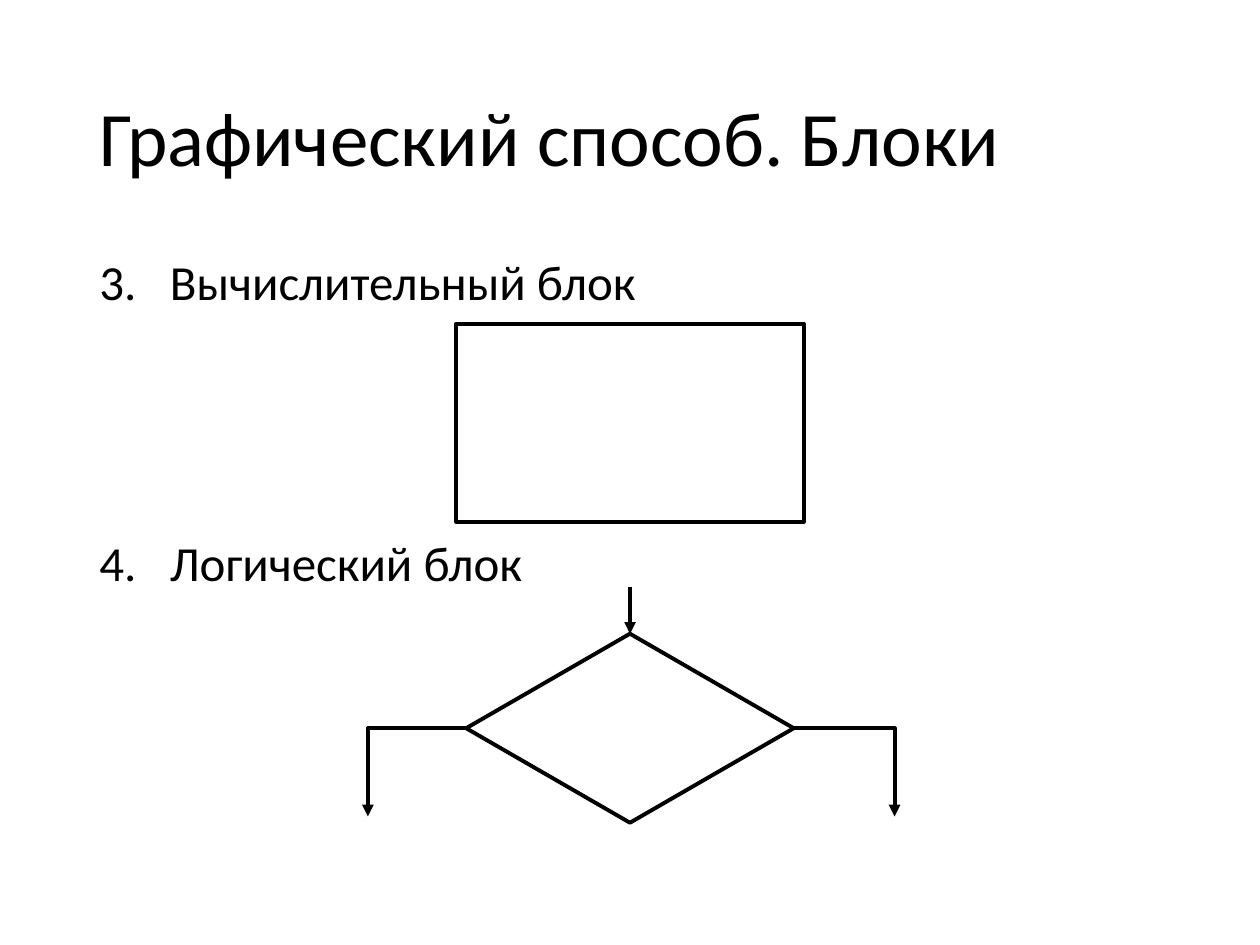
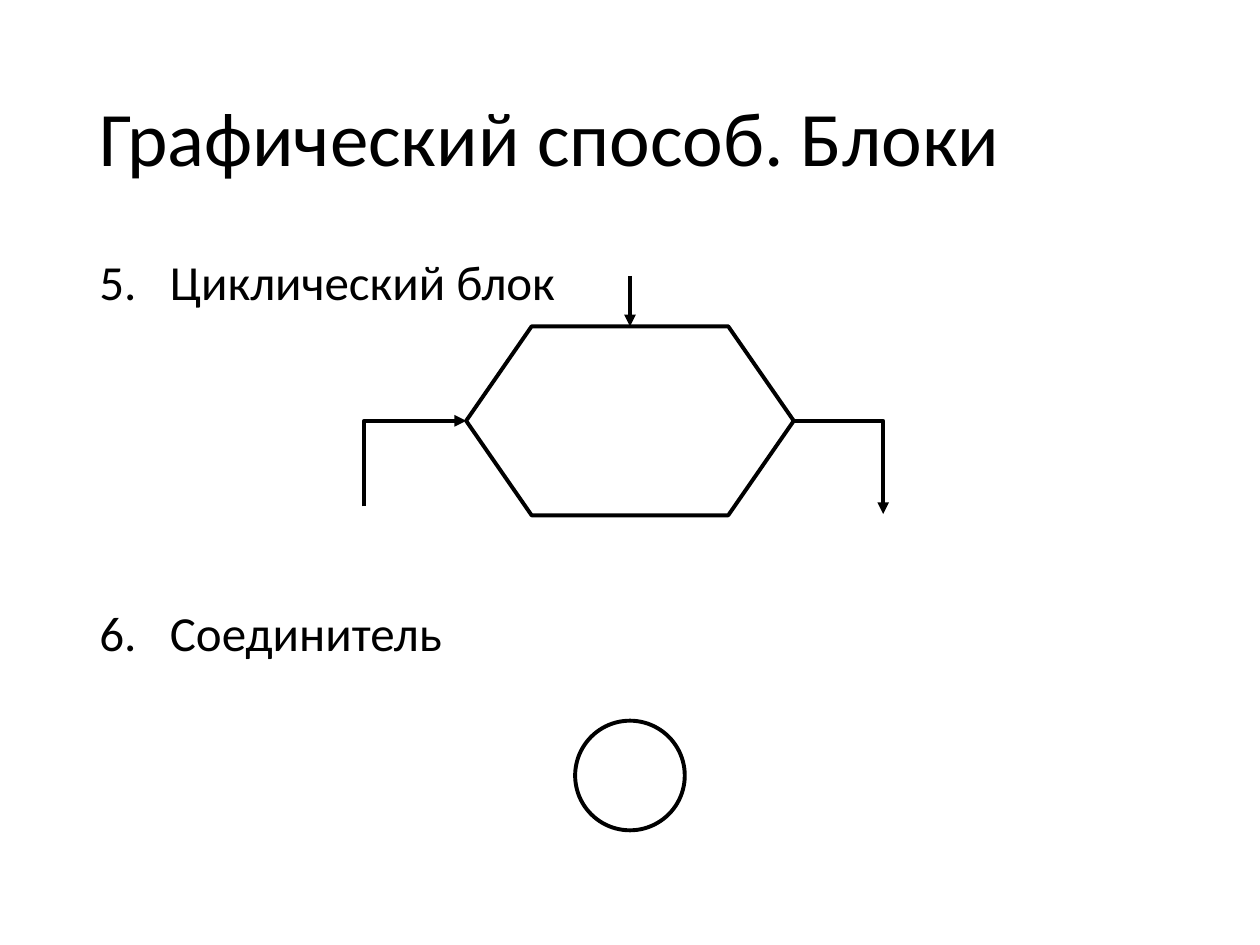
from lxml.etree import SubElement
from pptx import Presentation
from pptx.dml.color import RGBColor
from pptx.enum.shapes import MSO_CONNECTOR as Link, MSO_SHAPE as Shape
from pptx.enum.text import MSO_ANCHOR as Anchor
from pptx.oxml.ns import qn
from pptx.util import Inches, Pt

TITLE = "Графический способ. Блоки"
FONT = "Calibri"
INK, PAPER = "000000", "FFFFFF"
LINE_WIDTH = 2.25
MIDDLE = 5
TEXT_LEFT, TEXT_WIDTH = 0.69, 8.62
NUMBER_INDENT = 0.56

PAGES = [
    {
        "first_number": 3,
        "items": [("Вычислительный блок", 10), ("Логический блок", 130.5)],
        "blocks": [
            (Shape.FLOWCHART_PROCESS, 2.57, 2.76, 1.57),
            (Shape.FLOWCHART_DECISION, 5.03, 2.6, 1.5),
        ],
        "arrows": [((MIDDLE, 4.66), (MIDDLE, 5.03))],
        "elbows": [
            ((6.3, 5.78), (7.1, 6.48), 1),
            ((3.7, 5.78), (2.92, 6.48), 1),
        ],
    },
    {
        "first_number": 5,
        "items": [("Циклический блок", 10), ("Соединитель", 170.5)],
        "blocks": [
            (Shape.FLOWCHART_PREPARATION, 2.59, 2.6, 1.5),
            (Shape.FLOWCHART_CONNECTOR, 5.72, 0.87, 0.87),
        ],
        "arrows": [((MIDDLE, 2.19), (MIDDLE, 2.59))],
        "elbows": [
            ((6.3, 3.34), (7.01, 4.08), 1),
            ((2.89, 4.02), (3.7, 3.34), 0),
        ],
    },
]


def color(value):
    return RGBColor.from_string(value)


def add_box(page, top, height, anchor):
    box = page.shapes.add_textbox(
        Inches(TEXT_LEFT), Inches(top), Inches(TEXT_WIDTH), Inches(height))
    frame = box.text_frame
    frame.word_wrap = True
    frame.vertical_anchor = anchor
    return frame


def write(para, text, size):
    para.line_spacing = 0.9
    span = para.add_run()
    span.text = text
    span.font.name = FONT
    span.font.size = Pt(size)
    span.font.color.rgb = color(INK)


def number(para, start):
    props = para._p.get_or_add_pPr()
    props.set("marL", str(Inches(NUMBER_INDENT)))
    props.set("indent", str(-Inches(NUMBER_INDENT)))
    SubElement(props, qn("a:buFont"), typeface="+mj-lt")
    SubElement(props, qn("a:buAutoNum"), type="arabicPeriod", startAt=str(start))


def add_list(page, items, start):
    frame = add_box(page, 2, 4.76, Anchor.TOP)
    for index, (text, gap) in enumerate(items):
        para = frame.add_paragraph() if index else frame.paragraphs[0]
        write(para, text, 28)
        para.space_before = Pt(gap)
        number(para, start)


def style_line(line):
    line.color.rgb = color(INK)
    line.width = Pt(LINE_WIDTH)


def add_block(page, kind, top, width, height):
    block = page.shapes.add_shape(
        kind, Inches(MIDDLE - width / 2), Inches(top), Inches(width), Inches(height))
    block.shadow.inherit = False
    block.fill.solid()
    block.fill.fore_color.rgb = color(PAPER)
    style_line(block.line)


def add_arrow(page, start, end, bend=None):
    kind = Link.STRAIGHT if bend is None else Link.ELBOW
    arrow = page.shapes.add_connector(kind, *map(Inches, start + end))
    style_line(arrow.line)
    props = arrow._element.spPr
    SubElement(props.find(qn("a:ln")), qn("a:tailEnd"), type="triangle")
    SubElement(props, qn("a:effectLst"))
    if bend is not None:
        guides = props.find(qn("a:prstGeom")).get_or_add_avLst()
        SubElement(guides, qn("a:gd"), name="adj1", fmla=f"val {bend * 100000}")


def add_page(deck, content):
    page = deck.slides.add_slide(deck.slide_layouts[6])
    title = add_box(page, 0.4, 1.45, Anchor.MIDDLE)
    write(title.paragraphs[0], TITLE, 44)
    add_list(page, content["items"], content["first_number"])
    for block in content["blocks"]:
        add_block(page, *block)
    for arrow in content["arrows"] + content["elbows"]:
        add_arrow(page, *arrow)


def main():
    deck = Presentation()
    deck.slide_width, deck.slide_height = Inches(10), Inches(7.5)
    for content in PAGES:
        add_page(deck, content)
    deck.save("out.pptx")


if __name__ == "__main__":
    main()
